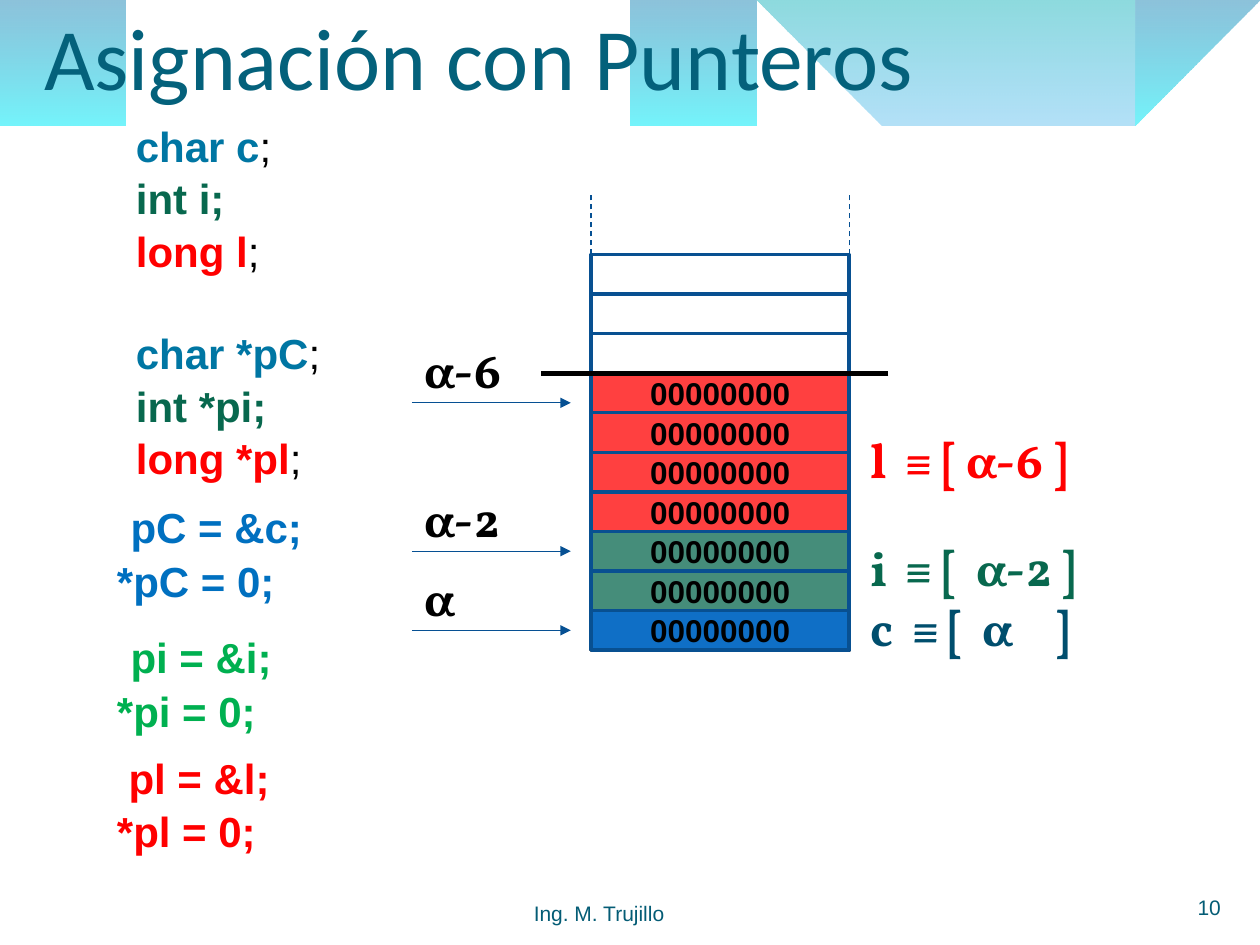
from lxml.etree import SubElement
from pptx import Presentation
from pptx.dml.color import RGBColor
from pptx.enum.dml import MSO_LINE
from pptx.enum.shapes import MSO_CONNECTOR, MSO_SHAPE
from pptx.enum.text import MSO_ANCHOR, PP_ALIGN
from pptx.oxml.ns import qn
from pptx.util import Inches, Pt

BLACK = RGBColor(0x00, 0x00, 0x00)
RED = RGBColor(0xFF, 0x00, 0x00)
DARK_GREEN = RGBColor(0x08, 0x68, 0x4E)
GREEN = RGBColor(0x00, 0xB0, 0x50)
BLUE = RGBColor(0x0F, 0x6F, 0xC6)
CODE_BLUE = RGBColor(0x00, 0x70, 0xC0)
CHAR_BLUE = RGBColor(0x00, 0x76, 0xA3)
NAVY = RGBColor(0x00, 0x4E, 0x6D)
BORDER = RGBColor(0x08, 0x50, 0x91)
ARROW = RGBColor(0x06, 0x50, 0x93)
TITLE = RGBColor(0x04, 0x61, 0x7B)
FOOTER = RGBColor(0x04, 0x5C, 0x75)
WAVE_BLUE = RGBColor(0x00, 0x79, 0xAF)
WAVE_CYAN = RGBColor(0x00, 0xEB, 0xF8)
WAVE_TEAL = RGBColor(0x00, 0xAD, 0xB6)
WAVE_SKY = RGBColor(0x00, 0x9B, 0xE5)

STACK_LEFT, STACK_TOP, CELL_W, CELL_H = 4.69, 2.02, 2.05, 0.314
STACK_RIGHT = STACK_LEFT + CELL_W
FIRST_USED, ROWS = 3, 10
ARROW_LEFT, ARROW_RIGHT = 3.27, 4.53


def row_y(row):
    return STACK_TOP + row * CELL_H


def set_alpha(color_node, percent):
    SubElement(color_node, qn("a:alpha")).set("val", str(percent * 1000))


def curve(p0, p1, p2, p3, steps=16):
    for i in range(1, steps + 1):
        t = i / steps
        u = 1 - t
        yield tuple(u**3 * a + 3 * u * u * t * b + 3 * u * t * t * c + t**3 * d
                    for a, b, c, d in zip(p0, p1, p2, p3))


def add_wave(s, segments, stops):
    start, *rest = segments
    points = [start]
    for seg in rest:
        points.extend(curve(points[-1], *seg) if len(seg) == 3 else [seg])
    builder = s.shapes.build_freeform(*start, scale=Inches(1))
    builder.add_line_segments(points[1:], close=True)
    sp = builder.convert_to_shape()
    sp.shadow.inherit = False
    sp.line.fill.background()
    sp.fill.gradient()
    sp.fill.gradient_angle = 270
    for stop, (color, _) in zip(sp.fill.gradient_stops, stops):
        stop.color.rgb = color
    for node, (_, alpha) in zip(sp.element.spPr.iter(qn("a:srgbClr")), stops):
        set_alpha(node, alpha)


def add_run(p, text, size, color, bold=True, font="Arial"):
    r = p.add_run()
    r.text = text
    r.font.size, r.font.bold, r.font.name = Pt(size), bold, font
    r.font.color.rgb = color


def add_text(shapes, left, top, width, height):
    tb = shapes.add_textbox(Inches(left), Inches(top), Inches(width), Inches(height))
    tb.text_frame.word_wrap = True
    return tb.text_frame


def add_lines(s, box, lines, gap_before=None):
    tf = add_text(s.shapes, *box)
    for i, runs in enumerate(lines):
        p = tf.paragraphs[0] if i == 0 else tf.add_paragraph()
        p.line_spacing = 1.04
        if i == gap_before:
            p.space_before = Pt(28.8)
        for run in runs:
            add_run(p, *run)


def add_symbol(shapes, box, text, color, tabs=()):
    p = add_text(shapes, *box).paragraphs[0]
    if tabs:
        tab_list = SubElement(p._p.get_or_add_pPr(), qn("a:tabLst"))
        for pos in tabs:
            tab = SubElement(tab_list, qn("a:tab"))
            tab.set("pos", str(Inches(pos)))
            tab.set("algn", "l")
    add_run(p, text, 28, color, font="Vollkorn")


def add_footer(s, box, text, align):
    tf = add_text(s.shapes, *box)
    tf.margin_left = tf.margin_right = tf.margin_top = tf.margin_bottom = 0
    tf.vertical_anchor = MSO_ANCHOR.BOTTOM
    p = tf.paragraphs[0]
    p.alignment = align
    add_run(p, text, 12, FOOTER, False)


def add_block(s, row, rows, line_color, fill=None, alpha=100, text=None):
    sp = s.shapes.add_shape(MSO_SHAPE.RECTANGLE, Inches(STACK_LEFT), Inches(row_y(row)),
                            Inches(CELL_W), Inches(rows * CELL_H))
    sp.shadow.inherit = False
    sp.line.color.rgb, sp.line.width = line_color, Pt(2)
    if fill is None:
        sp.fill.background()
    else:
        sp.fill.solid()
        sp.fill.fore_color.rgb = fill
        set_alpha(next(sp.element.spPr.iter(qn("a:srgbClr"))), alpha)
    if text:
        tf = sp.text_frame
        tf.vertical_anchor = MSO_ANCHOR.MIDDLE
        tf.paragraphs[0].alignment = PP_ALIGN.CENTER
        add_run(tf.paragraphs[0], text, 18, BLACK)


def add_line(shapes, x1, y1, x2, y2, color=ARROW, width=0.75, dash=None, arrow=False):
    ln = shapes.add_connector(MSO_CONNECTOR.STRAIGHT, Inches(x1), Inches(y1),
                              Inches(x2), Inches(y2))
    ln.line.color.rgb, ln.line.width = color, Pt(width)
    if dash:
        ln.line.dash_style = dash
    if arrow:
        SubElement(ln.line._get_or_add_ln(), qn("a:tailEnd")).set("type", "triangle")
    SubElement(ln.element.spPr, qn("a:effectLst"))


def add_pointer(s, row, label):
    group = s.shapes.add_group_shape()
    y = row_y(row)
    add_symbol(group.shapes, (ARROW_LEFT, y - 0.55, 0.9, 0.57), label, BLACK)
    add_line(group.shapes, ARROW_LEFT, y, ARROW_RIGHT, y, arrow=True)


def add_title(s, text):
    title = s.shapes.title
    title.left, title.top, title.width, title.height = map(Inches, (0.35, 0.05, 7.95, 0.81))
    tf = title.text_frame
    tf.margin_left = tf.margin_right = tf.margin_bottom = 0
    tf.vertical_anchor = MSO_ANCHOR.BOTTOM
    tf.paragraphs[0].alignment = PP_ALIGN.LEFT
    add_run(tf.paragraphs[0], text, 50, TITLE, False, "Calibri")
    s.shapes.element.append(title.element)


def add_stack(s):
    add_block(s, 9, 1, BLACK, BLUE)
    add_block(s, 3, 4, BLACK, RED, 75)
    add_block(s, 7, 2, BLACK, DARK_GREEN, 75)
    for row in range(ROWS):
        add_block(s, row, 1, BORDER, text="00000000" if row >= FIRST_USED else None)
    for x in (STACK_LEFT, STACK_RIGHT):
        add_line(s.shapes, x, STACK_TOP, x, 1.54, dash=MSO_LINE.DASH)
    add_line(s.shapes, 7.05, row_y(FIRST_USED), 4.29, row_y(FIRST_USED), BLACK, 3)
    for row, label in ((9.5, "α"), (7.5, "α-2"), (3.75, "α-6")):
        add_pointer(s, row, label)
    for top, text, color, tabs in (
            (3.36, "l\t≡ [ α-6 ]", RED, (0.28,)),
            (4.22, "i\t≡ [\tα-2 ]", DARK_GREEN, (0.28, 0.84)),
            (4.69, "c\t≡ [\tα\t]", NAVY, (0.33, 0.89, 1.47))):
        add_symbol(s.shapes, (6.81, top, 2.21, 0.57), text, color, tabs)


def add_code(s):
    for top, name, target, color, indent in ((4.89, "pi", "i", GREEN, 28),
                                             (5.91, "pl", "l", RED, 24),
                                             (3.86, "pC", "c", CODE_BLUE, 28)):
        add_lines(s, (0.83, top, 1.97, 0.95),
                  [[(" ", indent, GREEN), (f"{name} = &{target};", 24, color)],
                   [(f"*{name} = 0;", 24, color)]])
    end = (";", 24, BLACK, False)
    declarations = []
    for names in (("c", "i", "l"), ("*pC", "*pi", "*pl")):
        c, i, l = names
        declarations += [[(f"char {c}", 24, CHAR_BLUE), end],
                         [(f"int {i};", 24, DARK_GREEN)],
                         [(f"long {l}", 24, RED), end]]
    add_lines(s, (0.98, 0.89, 2.05, 2.9), declarations, gap_before=3)


def main():
    prs = Presentation()
    prs.slide_width, prs.slide_height = Inches(10), Inches(7.5)
    s = prs.slides.add_slide(prs.slide_layouts[5])
    add_wave(s, [(0, 0), (4.4, 0), ((4.76, 0.17), (6.64, 0.63), (7.58, 0.63)),
                 ((8.53, 0.63), (9.58, 0.26), (10, 0.09)), (10, 0.36),
                 ((9.83, 0.44), (8.7, 0.76), (7.46, 0.75)),
                 ((6.22, 0.75), (3.82, 0.28), (2.57, 0.34)),
                 ((1.29, 0.35), (0.46, 0.83), (0, 1.13))],
             [(WAVE_BLUE, 45), (WAVE_CYAN, 55)])
    add_wave(s, [(4.79, 0), ((5.09, 0.11), (6.82, 0.62), (7.69, 0.65)),
                 ((8.56, 0.69), (9.61, 0.32), (10, 0.21)), (10, 0)],
             [(WAVE_TEAL, 45), (WAVE_SKY, 30)])
    add_footer(s, (2.92, 6.95, 3.67, 0.4), "Ing. M. Trujillo", PP_ALIGN.CENTER)
    add_footer(s, (8.86, 6.9, 0.83, 0.4), "10", PP_ALIGN.RIGHT)
    add_stack(s)
    add_code(s)
    add_title(s, "Asignación con Punteros")
    prs.save("out.pptx")


if __name__ == "__main__":
    main()
